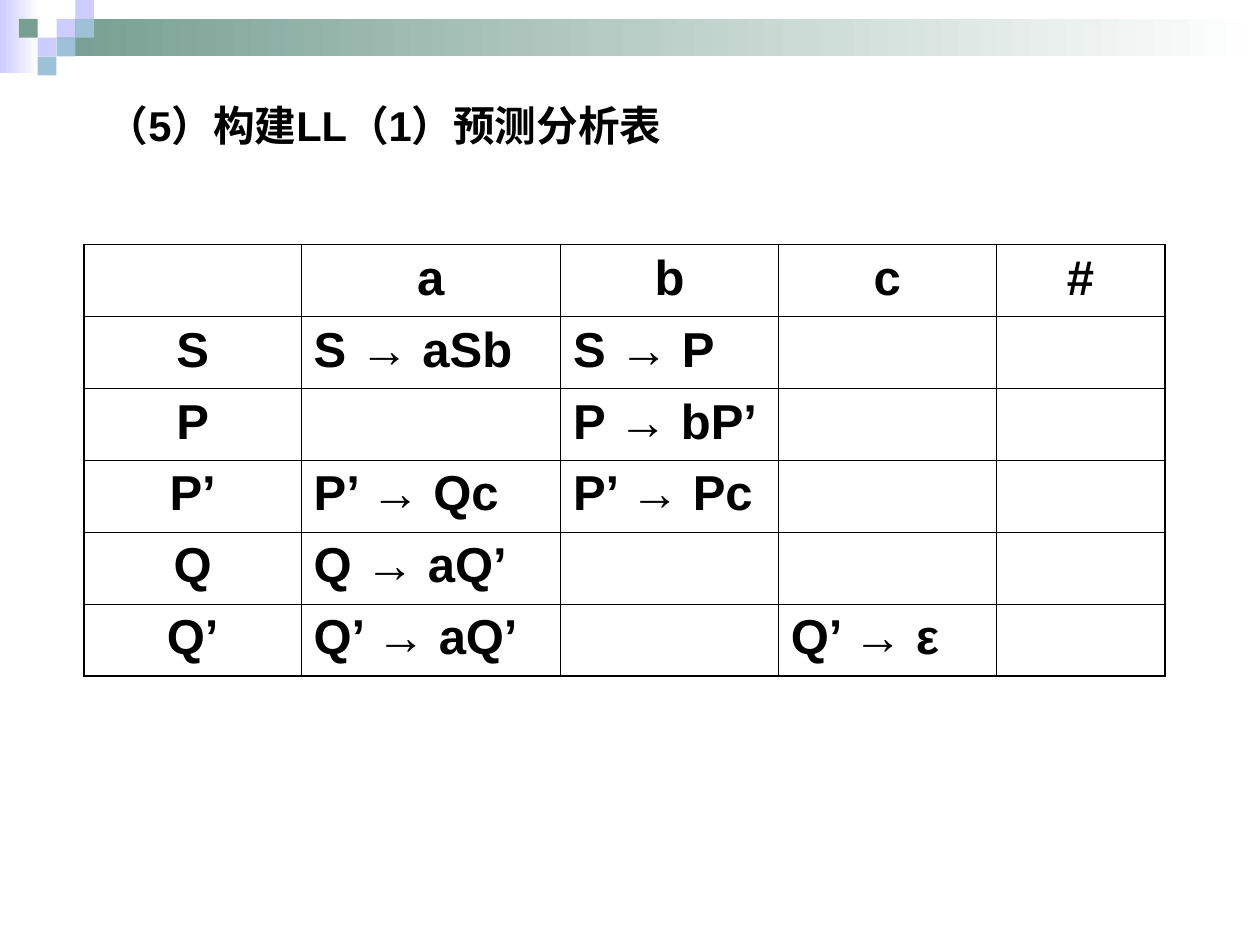
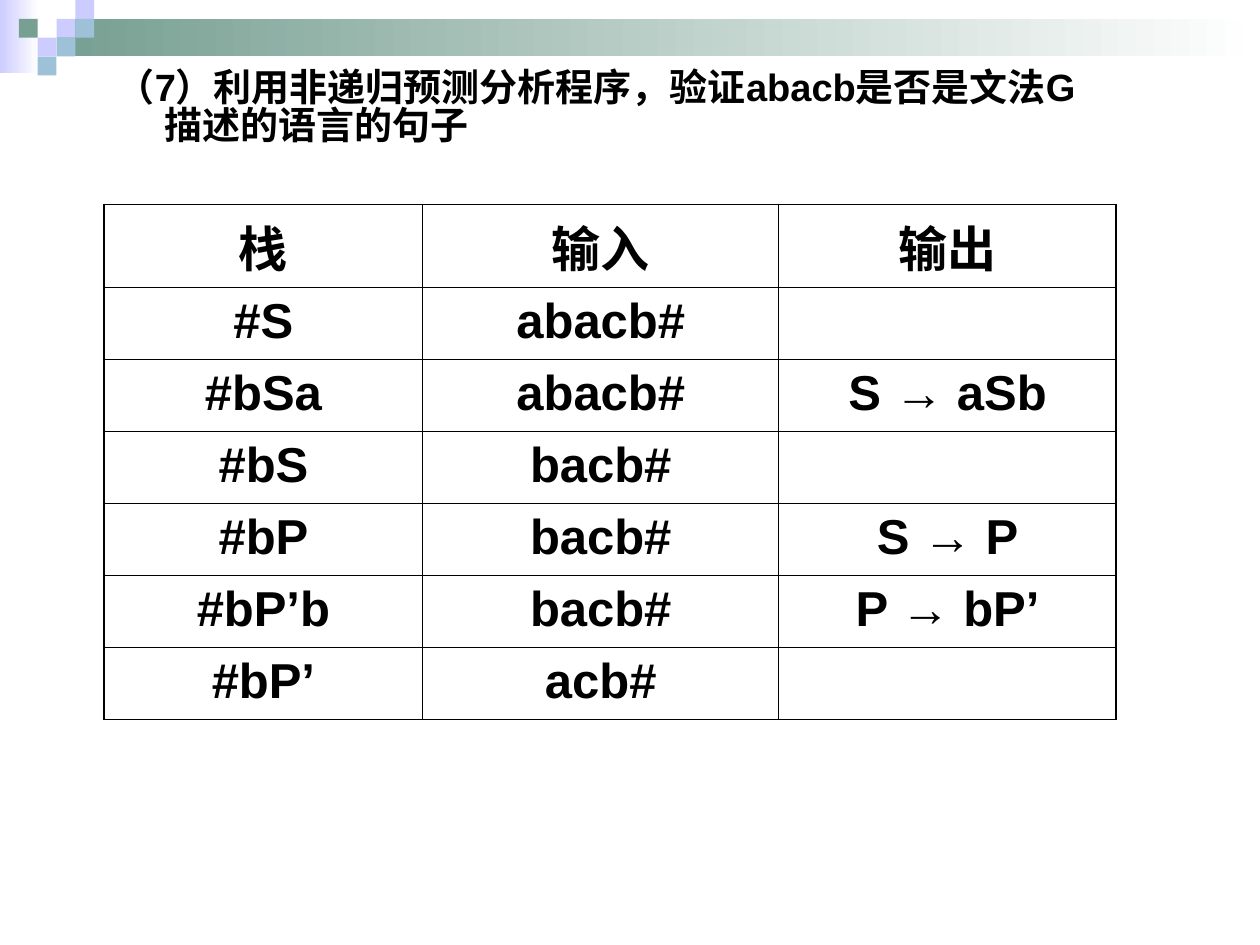
from lxml.etree import SubElement
from pptx import Presentation
from pptx.dml.color import RGBColor
from pptx.enum.shapes import MSO_SHAPE
from pptx.enum.text import MSO_ANCHOR, MSO_AUTO_SIZE, PP_ALIGN
from pptx.oxml.ns import qn
from pptx.util import Cm, Pt

# Shared look
BLACK = RGBColor(0x00, 0x00, 0x00)
WHITE = RGBColor(0xFF, 0xFF, 0xFF)
LAVENDER = RGBColor(0xCC, 0xCC, 0xFF)
SAGE = RGBColor(0x77, 0x9F, 0x92)
SKY = RGBColor(0x9D, 0xC2, 0xD7)
FONT = "Arial"
SLIDE_WIDTH, SLIDE_HEIGHT = 25.4, 19.05
SQUARE = 0.38  # side of a mosaic square, in cm
ROW_HEIGHT = 1.45
CELL_SIZE = 28
OUTER_LINE, INNER_LINE = Pt(1.08), Pt(0.45)
ARROW = "→"

# Mosaic squares: column, row, colour
MOSAIC = [
    (3, 1, LAVENDER), (4, 0, LAVENDER), (4, 1, SKY), (2, 2, LAVENDER),
    (1, 1, SAGE), (3, 2, SKY), (2, 3, SKY),
]

PREDICTION_ROWS = [
    ["", "a", "b", "c", "#"],
    ["S", "S → aSb", "S → P", "", ""],
    ["P", "", "P → bP’", "", ""],
    ["P’", "P’ → Qc", "P’ → Pc", "", ""],
    ["Q", "Q → aQ’", "", "", ""],
    ["Q’", "Q’ → aQ’", "", "Q’ → ε", ""],
]
PARSING_ROWS = [
    ["栈", "输入", "输出"],
    ["#S", "abacb#", ""],
    ["#bSa", "abacb#", "S → aSb"],
    ["#bS", "bacb#", ""],
    ["#bP", "bacb#", "S → P"],
    ["#bP’b", "bacb#", "P → bP’"],
    ["#bP’", "acb#", ""],
]


def format_font(font, size):
    font.name = FONT
    font.size = Pt(size)
    font.bold = True
    font.color.rgb = BLACK


def add_rectangle(slide, left, top, width, height, color, fades=False):
    """Add a borderless rectangle, plain or fading to white on the right."""
    shape = slide.shapes.add_shape(
        MSO_SHAPE.RECTANGLE, Cm(left), Cm(top), Cm(width), Cm(height))
    shape.shadow.inherit = False
    shape.line.fill.background()
    if fades:
        shape.fill.gradient()
        shape.fill.gradient_angle = 0
        for stop, stop_color in zip(shape.fill.gradient_stops, (color, WHITE)):
            stop.color.rgb = stop_color
    else:
        shape.fill.solid()
        shape.fill.fore_color.rgb = color


def add_header_band(slide):
    """Draw the fading bands and the mosaic in the top left corner."""
    band_left = 3 * SQUARE
    add_rectangle(slide, 0, 0, 0.78, 1.47, LAVENDER, fades=True)
    add_rectangle(slide, band_left, SQUARE, SLIDE_WIDTH - band_left, 2 * SQUARE,
                  SAGE, fades=True)
    for column, row, color in MOSAIC:
        add_rectangle(slide, column * SQUARE, row * SQUARE, SQUARE, SQUARE, color)


def set_title(slide, text, box, size, line_spacing):
    """Place the title with a hanging indent."""
    title = slide.shapes.title
    title.left, title.top, title.width, title.height = map(Cm, box)
    frame = title.text_frame
    frame.text = text
    frame.word_wrap = True
    frame.auto_size = MSO_AUTO_SIZE.NONE
    frame.vertical_anchor = MSO_ANCHOR.TOP
    paragraph = frame.paragraphs[0]
    paragraph.alignment = PP_ALIGN.LEFT
    paragraph.line_spacing = line_spacing
    properties = paragraph._p.get_or_add_pPr()
    properties.set("marL", str(Cm(0.97)))
    properties.set("indent", str(-Cm(0.97)))
    format_font(paragraph.font, size)


def set_borders(cell, outer_sides):
    """Rule all four sides, heavier where the cell meets the table edge."""
    properties = cell._tc.get_or_add_tcPr()
    for side in "LRTB":
        width = OUTER_LINE if side in outer_sides else INNER_LINE
        line = SubElement(properties, qn(f"a:ln{side}"), w=str(width))
        fill = SubElement(line, qn("a:solidFill"))
        SubElement(fill, qn("a:srgbClr"), val=str(BLACK))


def fill_cell(cell, text, alignment):
    """Write bold text; the arrow of a production stays regular."""
    paragraph = cell.text_frame.paragraphs[0]
    paragraph.alignment = alignment
    format_font(paragraph.font, CELL_SIZE)
    for part in filter(None, text.partition(ARROW)):
        run = paragraph.add_run()
        run.text = part
        if part == ARROW:
            run.font.bold = False


def add_grid(slide, rows, left, top, column_widths, production_alignment):
    """Add a ruled table without fills."""
    table = slide.shapes.add_table(
        len(rows), len(column_widths), Cm(left), Cm(top),
        Cm(sum(column_widths)), Cm(ROW_HEIGHT * len(rows))).table
    table.first_row = table.horz_banding = False
    for column, width in zip(table.columns, column_widths):
        column.width = Cm(width)
    last_row, last_column = len(rows) - 1, len(column_widths) - 1
    for row_index, row in enumerate(rows):
        table.rows[row_index].height = Cm(ROW_HEIGHT)
        for column_index, text in enumerate(row):
            cell = table.cell(row_index, column_index)
            edges = {"L": column_index == 0, "R": column_index == last_column,
                     "T": row_index == 0, "B": row_index == last_row}
            set_borders(cell, [side for side, outer in edges.items() if outer])
            cell.fill.background()
            if text:
                fill_cell(cell, text, production_alignment if ARROW in text
                          else PP_ALIGN.CENTER)


def add_titled_slide(presentation):
    slide = presentation.slides.add_slide(presentation.slide_layouts[5])
    add_header_band(slide)
    return slide


def add_prediction_slide(presentation):
    slide = add_titled_slide(presentation)
    set_title(slide, "（5）构建LL（1）预测分析表",
              (1.9, 2.13, 20.93, 1.07), 23.8, 0.75)
    add_grid(slide, PREDICTION_ROWS, 1.7, 4.93,
             [4.37, 5.23, 4.39, 4.39, 3.4], PP_ALIGN.LEFT)


def add_parsing_slide(presentation):
    slide = add_titled_slide(presentation)
    set_title(slide, "（7）利用非递归预测分析程序，验证abacb是否是文法G描述的语言的句子",
              (2.1, 1.32, 20.55, 2.13), 21.7, 0.82)
    add_grid(slide, PARSING_ROWS, 2.1, 4.12,
             [6.42, 7.18, 6.8], PP_ALIGN.CENTER)


def main():
    presentation = Presentation()
    presentation.slide_width = Cm(SLIDE_WIDTH)
    presentation.slide_height = Cm(SLIDE_HEIGHT)
    add_prediction_slide(presentation)
    add_parsing_slide(presentation)
    presentation.save("out.pptx")


if __name__ == "__main__":
    main()
